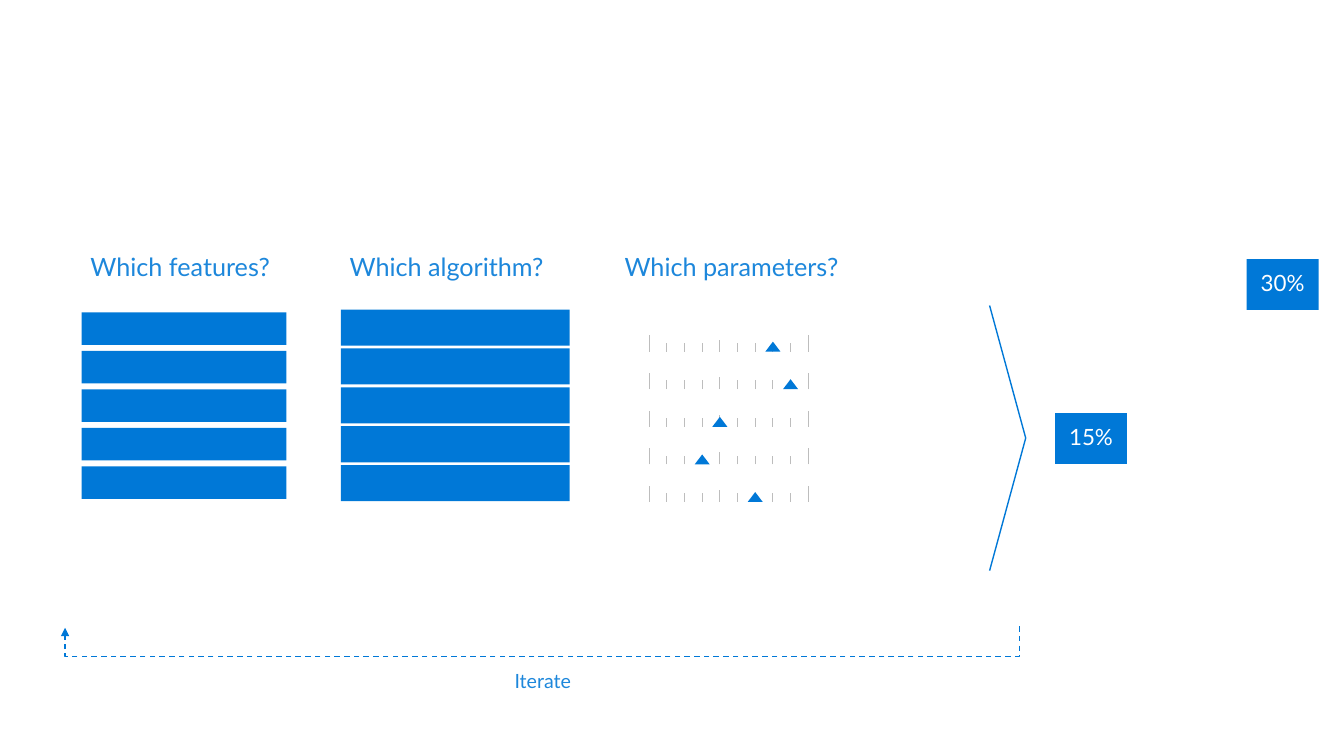
from dataclasses import dataclass

from lxml.etree import SubElement
from pptx import Presentation
from pptx.dml.color import RGBColor
from pptx.enum.dml import MSO_LINE
from pptx.enum.shapes import MSO_CONNECTOR, MSO_SHAPE
from pptx.enum.text import MSO_ANCHOR, PP_ALIGN
from pptx.oxml.ns import qn
from pptx.shapes.autoshape import Shape
from pptx.shapes.connector import Connector
from pptx.util import Cm, Pt

BLUE, TEXT_BLUE, GREY, WHITE = "0078D7", "1D87DB", "BDBDBD", "FFFFFF"
FONT = "Lato"


@dataclass
class Heading:
    text: str
    x: float
    w: float


@dataclass
class BarStack:
    x: float
    y: float
    w: float
    h: float
    pitch: float


@dataclass
class Badge:
    text: str
    x: float
    y: float


HEADINGS = [
    Heading("Which features?", 2.03, 5.74),
    Heading("Which algorithm?", 8.56, 6.15),
    Heading("Which parameters?", 15.49, 6.71),
]
STACKS = [
    BarStack(2.06, 7.87, 5.16, 0.82, 0.97),
    BarStack(8.59, 7.8, 5.77, 0.91, 0.98),
]
BADGES = [Badge("30%", 31.42, 6.53), Badge("15%", 26.59, 10.41)]

# Sliders: ten ticks each, with the tick index each pointer stands on
POINTER_TICKS = [7, 8, 4, 3, 6]
TICKS = 10
TICK_X, TICK_STEP = 16.36, 4.01 / 9
BASE_Y, SLIDER_PITCH = 8.86, 3.79 / 4
TICK_HEIGHTS = {0: 0.41, 4: 0.3, 9: 0.41}
MINOR_TICK = 0.22
POINTER_W, POINTER_H = 0.38, 0.25

prs = Presentation()
prs.slide_width, prs.slide_height = Cm(33.87), Cm(19.05)
s = prs.slides.add_slide(prs.slide_layouts[6])


def color(value: str) -> RGBColor:
    return RGBColor.from_string(value)


def write(sp: Shape, text: str, *, size: float, fill: str = TEXT_BLUE,
          align: PP_ALIGN = PP_ALIGN.LEFT,
          anchor: MSO_ANCHOR = MSO_ANCHOR.TOP) -> None:
    tf = sp.text_frame
    tf.word_wrap = True
    tf.vertical_anchor = anchor
    p = tf.paragraphs[0]
    p.alignment, p.line_spacing = align, 0.9
    r = p.add_run()
    r.text = text
    r.font.name, r.font.size = FONT, Pt(size)
    r.font.color.rgb = color(fill)


def add_label(text: str, x: float, y: float, w: float, h: float, **fmt) -> None:
    write(s.shapes.add_textbox(Cm(x), Cm(y), Cm(w), Cm(h)), text, **fmt)


def add_block(x: float, y: float, w: float, h: float,
              kind: MSO_SHAPE = MSO_SHAPE.RECTANGLE) -> Shape:
    sp = s.shapes.add_shape(kind, Cm(x), Cm(y), Cm(w), Cm(h))
    sp.shadow.inherit = False
    sp.fill.solid()
    sp.fill.fore_color.rgb = color(BLUE)
    sp.line.fill.background()
    return sp


def add_line(x1: float, y1: float, x2: float, y2: float, stroke: str, width: float,
             kind: MSO_CONNECTOR = MSO_CONNECTOR.STRAIGHT) -> Connector:
    line = s.shapes.add_connector(kind, Cm(x1), Cm(y1), Cm(x2), Cm(y2))
    line.line.color.rgb = color(stroke)
    line.line.width = Pt(width)
    SubElement(line._element.spPr, qn("a:effectLst"))
    return line


def add_slider(base: float, pointer_tick: int) -> None:
    for i in range(TICKS):
        x = TICK_X + i * TICK_STEP
        add_line(x, base, x, base - TICK_HEIGHTS.get(i, MINOR_TICK), GREY, 0.75)
    pointer_x = TICK_X + pointer_tick * TICK_STEP - POINTER_W / 2
    add_block(pointer_x, base - POINTER_H, POINTER_W, POINTER_H,
              MSO_SHAPE.ISOSCELES_TRIANGLE)


def add_chevron(points: list[tuple[float, float]]) -> None:
    start, *rest = [(Cm(x), Cm(y)) for x, y in points]
    builder = s.shapes.build_freeform(*start)
    builder.add_line_segments(rest, close=False)
    sp = builder.convert_to_shape()
    sp.shadow.inherit = False
    sp.fill.background()
    sp.line.color.rgb = color(BLUE)
    sp.line.width = Pt(1)


def add_return_arrow(left: float, right: float, top: float, drop: float) -> None:
    """Elbow turned a quarter: down from the right, along, up to the left."""
    rise, cx = 0.04, (left + right) / 2
    cy, half = top + rise / 2, (right - left) / 2
    arrow = add_line(cx - rise / 2, cy - half, cx + rise / 2, cy + half,
                     BLUE, 1, MSO_CONNECTOR.ELBOW)
    arrow.line.dash_style = MSO_LINE.DASH
    sp_pr = arrow._element.spPr
    sp_pr.find(qn("a:xfrm")).set("rot", "5400000")
    adjust = sp_pr.find(qn("a:prstGeom")).find(qn("a:avLst"))
    SubElement(adjust, qn("a:gd"), name="adj1",
               fmla=f"val {round(drop / rise * 100000)}")
    SubElement(sp_pr.find(qn("a:ln")), qn("a:tailEnd"), type="triangle")


# Column headings
for heading in HEADINGS:
    add_label(heading.text, heading.x, 6.3, heading.w, 0.94, size=18)

# Feature and algorithm bars
for stack in STACKS:
    for row in range(5):
        add_block(stack.x, stack.y + row * stack.pitch, stack.w, stack.h)

# Parameter sliders
for row, tick in enumerate(POINTER_TICKS):
    add_slider(BASE_Y + row * SLIDER_PITCH, tick)

# Result chevron and percentages
add_chevron([(24.94, 7.7), (25.85, 11.04), (24.94, 14.38)])
for badge in BADGES:
    write(add_block(badge.x, badge.y, 1.81, 1.28), badge.text, size=16, fill=WHITE,
          align=PP_ALIGN.CENTER, anchor=MSO_ANCHOR.MIDDLE)

# Iteration loop
add_return_arrow(1.64, 25.69, 15.78, 0.76)
add_label("Iterate", 12.27, 16.81, 2.82, 0.79, size=14, align=PP_ALIGN.CENTER)

prs.save("out.pptx")
